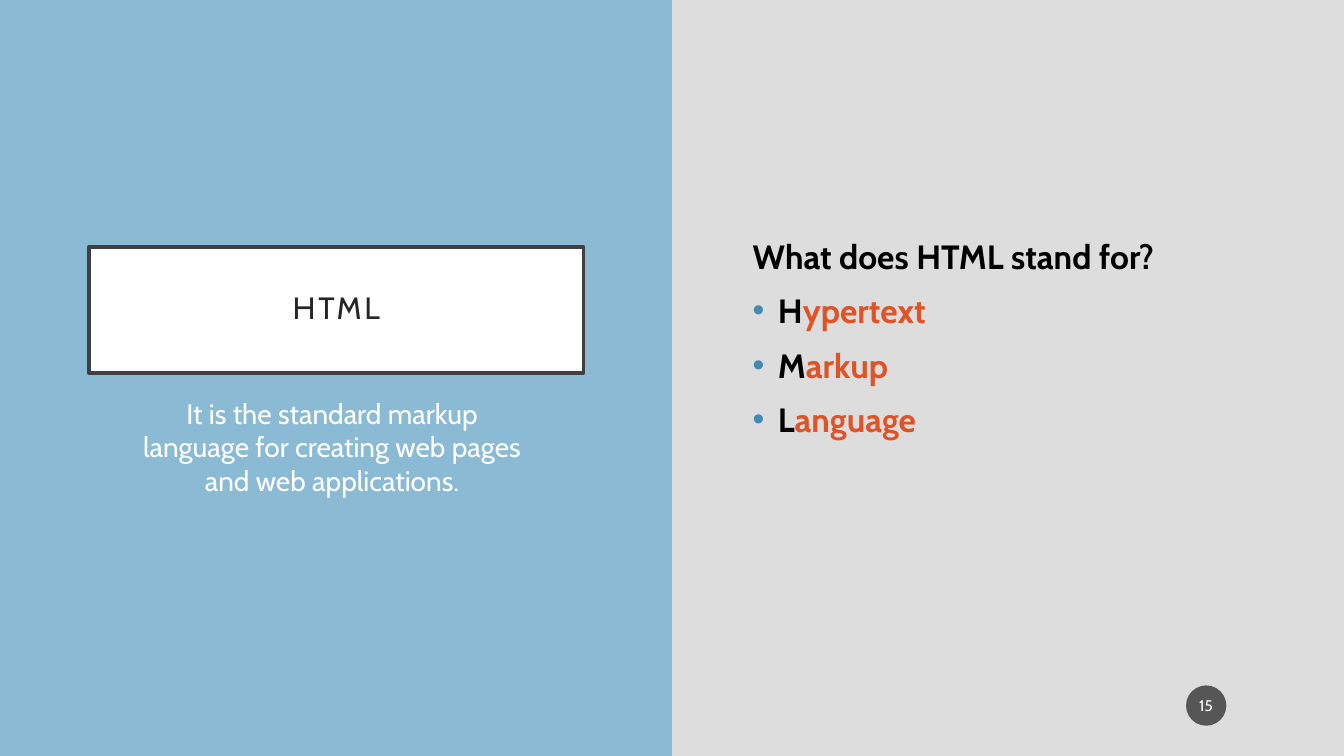
from dataclasses import dataclass

from lxml.etree import SubElement
from pptx import Presentation
from pptx.dml.color import RGBColor as RGB
from pptx.enum.shapes import MSO_SHAPE as Shape
from pptx.enum.text import MSO_ANCHOR as Anchor, PP_ALIGN as Align
from pptx.oxml.ns import qn
from pptx.util import Pt


@dataclass(frozen=True)
class Theme:
    """Colours, type sizes and font of the slide."""
    font: str = "Cabin"
    background: str = "DDDDDD"
    panel: str = "8ABAD4"
    frame: str = "404040"
    title: str = "262626"
    white: str = "FFFFFF"
    black: str = "000000"
    accent: str = "DF5327"
    bullet: str = "418AB3"
    badge: str = "1D1D1D"
    title_size: int = 22
    list_size: int = 24
    summary_size: int = 20
    number_size: int = 11
    paragraph_gap: int = 10


THEME = Theme()
WIDTH, HEIGHT = 960, 540


def style(run, size, colour, bold=False):
    """Set the font of a run."""
    run.font.name = THEME.font
    run.font.size = Pt(size)
    run.font.bold = bold
    run.font.color.rgb = RGB.from_string(colour)


def add_block(slide, kind, box, fill):
    """Add a flat preset shape without an outline."""
    block = slide.shapes.add_shape(kind, *map(Pt, box))
    block.shadow.inherit = False
    block.fill.solid()
    block.fill.fore_color.rgb = RGB.from_string(fill)
    block.line.fill.background()
    return block


def add_label(block, text, size, colour, insets):
    """Centre one line of text in a block and return its paragraph."""
    frame = block.text_frame
    frame.word_wrap = True
    frame.vertical_anchor = Anchor.MIDDLE
    frame.margin_left = frame.margin_right = Pt(insets[0])
    frame.margin_top = frame.margin_bottom = Pt(insets[1])
    frame.text = text
    label = frame.paragraphs[0]
    label.alignment = Align.CENTER
    style(label.runs[0], size, colour)
    return label


def add_text_area(slide, box):
    """Add an empty wrapping text area and return its frame."""
    frame = slide.shapes.add_textbox(*map(Pt, box)).text_frame
    frame.word_wrap = True
    return frame


def add_bullet(paragraph):
    """Give a paragraph a coloured bullet and a hanging indent."""
    properties = paragraph._p.get_or_add_pPr()
    properties.set("marL", str(Pt(18)))
    properties.set("indent", str(Pt(-18)))
    colour = SubElement(properties, qn("a:buClr"))
    SubElement(colour, qn("a:srgbClr"), val=THEME.bullet)
    SubElement(properties, qn("a:buFont"), typeface="Arial")
    SubElement(properties, qn("a:buChar"), char="•")


def add_title(slide, text):
    """Add the framed title."""
    plate = add_block(slide, Shape.RECTANGLE, (63.4, 176.4, 353.5, 90), THEME.white)
    plate.line.color.rgb = RGB.from_string(THEME.frame)
    plate.line.width = Pt(2.5)
    heading = add_label(plate, text, THEME.title_size, THEME.title, (14.4, 14.4))
    heading.line_spacing = 0.9
    heading.runs[0].font._element.set("spc", "200")


def add_summary(slide, text):
    """Add the centred description under the title."""
    frame = add_text_area(slide, (87.8, 279.4, 298.8, 172.8))
    frame.text = text
    summary = frame.paragraphs[0]
    summary.alignment = Align.CENTER
    summary.space_before = Pt(THEME.paragraph_gap)
    style(summary.runs[0], THEME.summary_size, THEME.white)


def add_acronym(slide, question, words):
    """Add the question and a bullet per word with its initial set apart."""
    frame = add_text_area(slide, (530.6, 164.9, 379.4, 203))
    frame.text = question
    heading = frame.paragraphs[0]
    heading.space_before = Pt(THEME.paragraph_gap)
    style(heading.runs[0], THEME.list_size, THEME.black, bold=True)
    for word in words:
        item = frame.add_paragraph()
        item.space_before = Pt(THEME.paragraph_gap)
        add_bullet(item)
        for part, colour in ((word[0], THEME.black), (word[1:], THEME.accent)):
            run = item.add_run()
            run.text = part
            style(run, THEME.list_size, colour, bold=True)


def add_slide_number(slide, number):
    """Add the slide number on a translucent disc."""
    badge = add_block(slide, Shape.OVAL, (847.2, 489.6, 28.8, 28.8), THEME.badge)
    colour = badge._element.spPr.find(qn("a:solidFill")).find(qn("a:srgbClr"))
    SubElement(colour, qn("a:alpha"), val="70000")
    add_label(badge, number, THEME.number_size, THEME.white, (1.44, 3.6))


def main():
    """Build the slide and save it."""
    deck = Presentation()
    deck.slide_width, deck.slide_height = Pt(WIDTH), Pt(HEIGHT)
    slide = deck.slides.add_slide(deck.slide_layouts[6])
    slide.background.fill.solid()
    slide.background.fill.fore_color.rgb = RGB.from_string(THEME.background)

    add_block(slide, Shape.RECTANGLE, (0, 0, WIDTH / 2, HEIGHT), THEME.panel)
    add_title(slide, "HTML")
    add_acronym(slide, "What does HTML stand for?", ("Hypertext", "Markup", "Language"))
    add_summary(slide, "It is the standard markup language for creating "
                       "web pages and web applications.")
    add_slide_number(slide, "15")
    deck.save("out.pptx")


if __name__ == "__main__":
    main()
